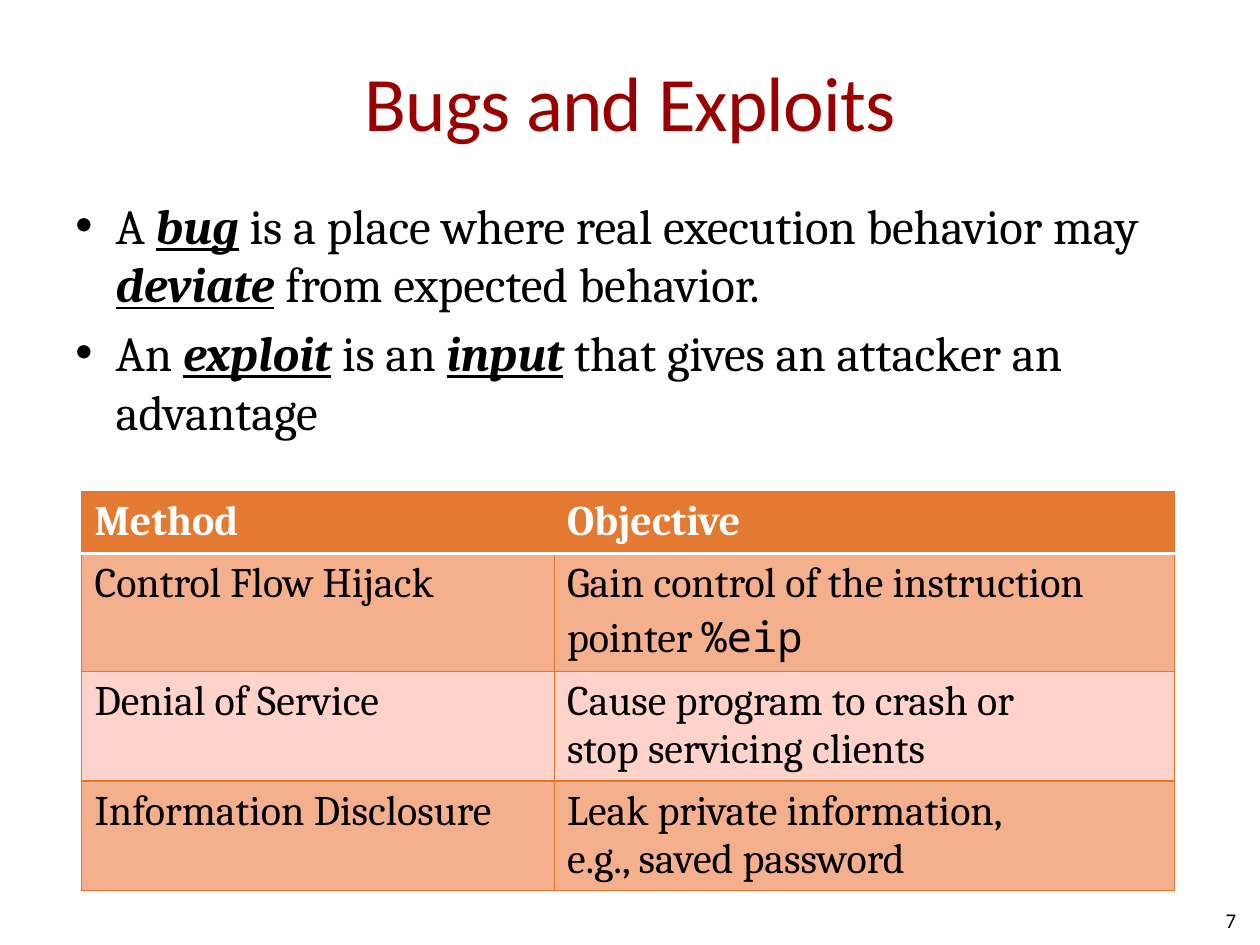
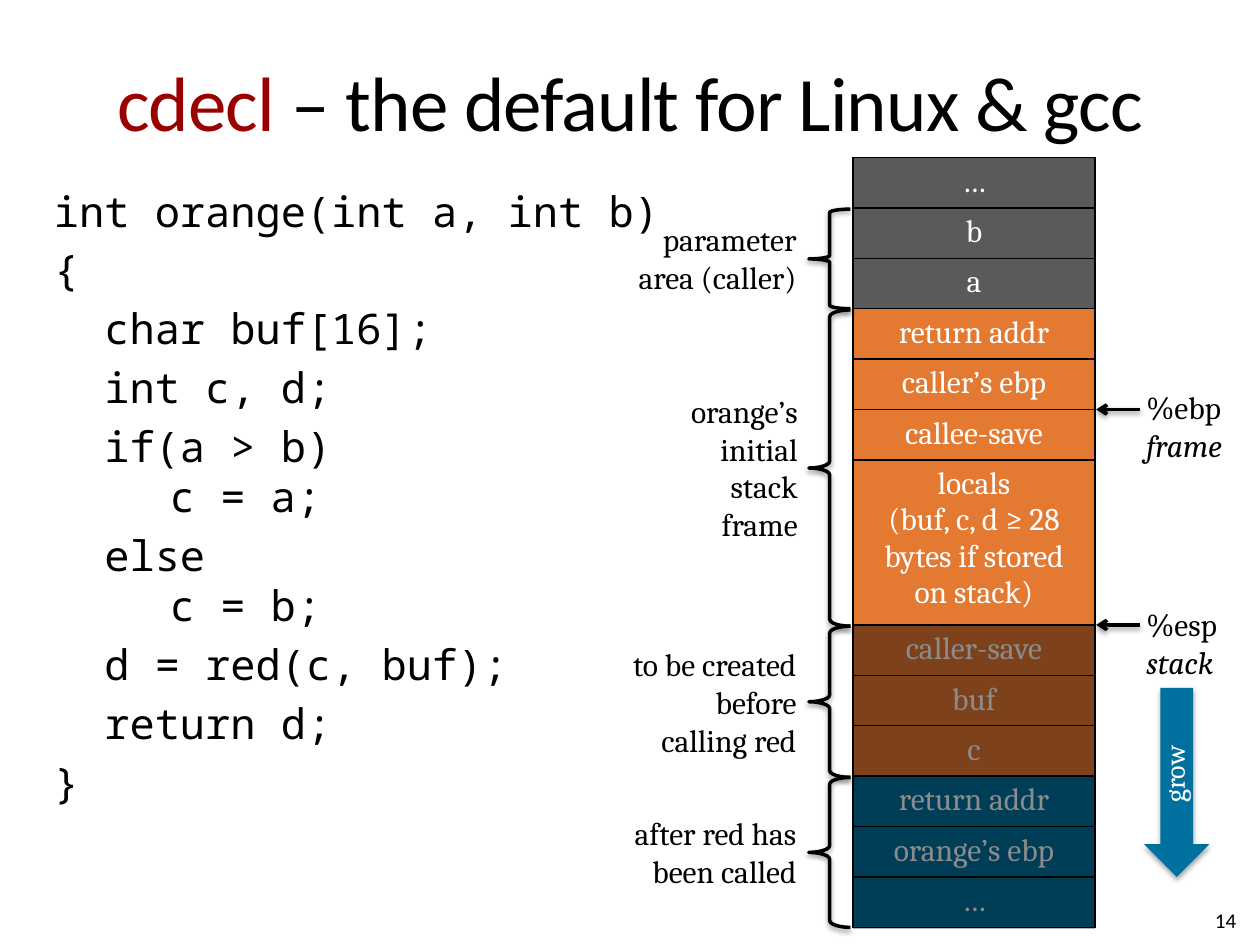
from dataclasses import dataclass
from typing import NamedTuple

from lxml import etree
from pptx import Presentation
from pptx.dml.color import RGBColor
from pptx.enum import shapes, text
from pptx.oxml import ns
from pptx.util import Inches, Pt

BLACK, WHITE, RED = "000000", "FFFFFF", "990000"
ORANGE, PALE_ORANGE, PINK = "E47932", "F4AF8D", "FFD3C9"
BORDER, GREY, BLUE = "E3752D", "595A5A", "00709E"
HEADING, BODY, CODE = "Calibri", "Cambria", "Noto Sans Mono"
LEFT, CENTER, RIGHT = text.PP_ALIGN.LEFT, text.PP_ALIGN.CENTER, text.PP_ALIGN.RIGHT


class Span(NamedTuple):
    words: str
    strong: bool = False
    italic: bool = False
    color: str = ""
    font: str = ""


class Area(NamedTuple):
    left: float
    top: float
    width: float
    height: float

    def inches(self) -> list:
        return [Inches(side) for side in self]


@dataclass
class Style:
    size: float
    font: str = BODY
    color: str = BLACK
    align: text.PP_ALIGN = LEFT
    bold: bool = False
    hanging: float = 0
    bullet: str = ""
    space_before: float = 0
    tracking: float = 0


@dataclass
class Brace:
    top: float
    height: float
    label: str
    label_area: Area
    curl: float = 0.167


@dataclass
class Pointer:
    y: float
    register: str
    meaning: str
    label_area: Area


class StackRow(NamedTuple):
    label: str
    fill: str
    height: float = 0.4


TITLE = Style(44, HEADING, align=CENTER, tracking=-0.5)
NUMBER = Style(12, HEADING, align=RIGHT)
BULLETS = Style(28, hanging=0.32, bullet="•", space_before=5.6)
LISTING = Style(24, CODE, hanging=0.32, space_before=4.8)
HEADER_CELL = Style(24, color=WHITE, bold=True)
BODY_CELL = Style(24)
STACK_CELL = Style(18, color=WHITE, align=CENTER)
LABEL = Style(18)
BRACE_LABEL = Style(18, align=RIGHT)
ARROW_LABEL = Style(16, color=WHITE, align=CENTER)

DEFINITIONS = [
    [Span("A "), Span("bug", True), Span(" is a place where real execution behavior may "),
     Span("deviate", True), Span(" from expected behavior.")],
    [Span("An "), Span("exploit", True), Span(" is an "), Span("input", True),
     Span(" that gives an attacker an advantage")],
]
EXPLOIT_ROWS = [
    (0.49, "Method", [Span("Objective")]),
    (0.93, "Control Flow Hijack",
     [Span("Gain control of the instruction pointer "), Span("%eip", font=CODE)]),
    (0.87, "Denial of Service", [Span("Cause program to crash or\nstop servicing clients")]),
    (0.87, "Information Disclosure", [Span("Leak private information,\ne.g., saved password")]),
]
EXPLOIT_FILLS = [ORANGE, PALE_ORANGE, PINK, PALE_ORANGE]
SOURCE_CODE = [
    "int orange(int a, int b)", "{", "  char buf[16];", "  int c, d;",
    "  if(a > b)\n   c = a;", "  else\n   c = b;",
    "  d = red(c, buf);", "  return d;", "}",
]
STACK_ROWS = [
    *(StackRow(label, GREY) for label in ("…", "b", "a")),
    *(StackRow(label, ORANGE) for label in ("return addr", "caller’s ebp", "callee-save")),
    StackRow("locals\n(buf, c, d ≥ 28 bytes if stored on stack)", ORANGE, 1.31),
    *(StackRow(label, ORANGE) for label in ("caller-save", "buf", "c")),
    *(StackRow(label, BLUE) for label in ("return addr", "orange’s ebp", "…")),
]
BRACES = [
    Brace(1.66, 0.79, "parameter\narea (caller)", Area(4.9, 1.7, 1.52, 0.71), 0.083),
    Brace(2.46, 2.51, "orange’s\ninitial\nstack\nframe", Area(5.31, 3.06, 1.12, 1.29)),
    Brace(4.97, 1.2, "to be created\nbefore\ncalling red", Area(4.76, 5.07, 1.66, 1)),
    Brace(6.17, 1.19, "after red has\nbeen called", Area(4.86, 6.41, 1.56, 0.71)),
]
POINTERS = [
    Pointer(3.25, "%ebp", "frame", Area(9, 3.03, 0.91, 0.71)),
    Pointer(4.96, "%esp", "stack", Area(9, 4.75, 0.82, 0.71)),
]


def rgb(color: str) -> RGBColor:
    return RGBColor.from_string(color)


def add_element(parent, tag: str, **attributes):
    element = etree.SubElement(parent, ns.qn(tag))
    for name, value in attributes.items():
        element.set(name, str(value))
    return element


def add_color(parent, color: str, alpha: int = 100) -> None:
    shade = add_element(add_element(parent, "a:solidFill") if parent.tag != ns.qn("a:outerShdw")
                        else parent, "a:srgbClr", val=color)
    if alpha < 100:
        add_element(shade, "a:alpha", val=alpha * 1000)


def add_shadow(shape, alpha: int = 38, distance: float = 1.6) -> None:
    effects = add_element(shape._element.spPr, "a:effectLst")
    shadow = add_element(effects, "a:outerShdw", blurRad=Pt(3.1), dist=Pt(distance),
                         dir=90 * 60000, rotWithShape=0)
    add_color(shadow, BLACK, alpha)


def write(frame, lines: list[list[Span]], style: Style) -> None:
    for index, spans in enumerate(lines):
        para = frame.add_paragraph() if index else frame.paragraphs[0]
        para.alignment = style.align
        if index and style.space_before:
            para.space_before = Pt(style.space_before)
        properties = para._p.get_or_add_pPr()
        if style.hanging:
            properties.set("marL", str(Inches(style.hanging)))
            properties.set("indent", str(-Inches(style.hanging)))
        if style.bullet:
            add_element(properties, "a:buFont", typeface="Arial")
            add_element(properties, "a:buChar", char=style.bullet)
        para.font.size, para.font.bold = Pt(style.size), style.bold
        para.font.name = style.font
        para.font.color.rgb = rgb(style.color)
        for span in spans:
            write_span(para, span, style)


def write_span(para, span: Span, style: Style) -> None:
    for index, piece in enumerate(span.words.split("\n")):
        if index:
            para.add_line_break()
        run = para.add_run()
        run.text = piece
        if span.strong:
            run.font.bold = run.font.underline = True
        if span.strong or span.italic:
            run.font.italic = True
        if span.color:
            run.font.color.rgb = rgb(span.color)
        if span.font:
            run.font.name = span.font
        if style.tracking:
            run._r.get_or_add_rPr().set("spc", str(int(style.tracking * 100)))


def add_text(page, area: Area, lines: list[list[Span]], style: Style, wrap: bool = True):
    box = page.shapes.add_textbox(*area.inches())
    frame = box.text_frame
    frame.word_wrap = wrap
    frame.auto_size = text.MSO_AUTO_SIZE.NONE if wrap else text.MSO_AUTO_SIZE.SHAPE_TO_FIT_TEXT
    write(frame, lines, style)
    return box


def add_page(deck, title: list[Span], number: int):
    page = deck.slides.add_slide(deck.slide_layouts[6])
    heading = add_text(page, Area(0.5, 0.17, 9, 1.25), [title], TITLE).text_frame
    heading.margin_left = heading.margin_right = 0
    footer = add_text(page, Area(7.58, 7.1, 2.33, 0.4), [[Span(str(number))]], NUMBER).text_frame
    heading.vertical_anchor = footer.vertical_anchor = text.MSO_ANCHOR.MIDDLE
    return page


def add_grid(page, area: Area, widths: list[float], heights: list[float]):
    table = page.shapes.add_table(len(heights), len(widths), *area.inches()).table
    table.first_row = table.horz_banding = False
    for column, width in zip(table.columns, widths):
        column.width = Inches(width)
    for row, height in zip(table.rows, heights):
        row.height = Inches(height)
    return table


def fill_cell(cell, lines: list[list[Span]], style: Style, fill: str,
              borders: dict[str, tuple[str, float]]) -> None:
    write(cell.text_frame, lines, style)
    cell.fill.solid()
    cell.fill.fore_color.rgb = rgb(fill)
    properties = cell._tc.get_or_add_tcPr()
    for index, side in enumerate("LRTB"):
        color, width = borders[side]
        line = add_element(properties, f"a:ln{side}", w=Pt(width))
        add_color(line, color)
        properties.insert(index, line)


def add_preset(page, kind, area: Area, fill: str = "", line: str = ""):
    shape = page.shapes.add_shape(kind, *area.inches())
    shape.shadow.inherit = False
    if fill:
        shape.fill.solid()
        shape.fill.fore_color.rgb = rgb(fill)
    else:
        shape.fill.background()
    if line:
        shape.line.color.rgb = rgb(line)
        shape.line.width = Pt(2)
    else:
        shape.line.fill.background()
    return shape


def clear_effects(shape) -> None:
    for effects in shape._element.spPr.findall(ns.qn("a:effectLst")):
        shape._element.spPr.remove(effects)


def add_brace(page, brace: Brace) -> None:
    area = Area(6.42, brace.top, 0.33, brace.height)
    shape = add_preset(page, shapes.MSO_SHAPE.LEFT_BRACE, area, line=BLACK)
    shape.adjustments[0] = brace.curl
    clear_effects(shape)
    add_shadow(shape)
    lines = [[Span(brace.label)]]
    add_text(page, brace.label_area, lines, BRACE_LABEL, wrap=False)


def add_pointer(page, pointer: Pointer) -> None:
    lines = [[Span(pointer.register)], [Span(pointer.meaning, italic=True)]]
    add_text(page, pointer.label_area, lines, LABEL, wrap=False)
    y = Inches(pointer.y)
    arrow = page.shapes.add_connector(shapes.MSO_CONNECTOR.STRAIGHT, Inches(9.05), y,
                                      Inches(8.7), y)
    arrow.line.color.rgb = rgb(BLACK)
    arrow.line.width = Pt(2)
    add_element(arrow.line._get_or_add_ln(), "a:tailEnd", type="arrow")
    add_shadow(arrow)


def build_exploits(deck) -> None:
    page = add_page(deck, [Span("Bugs and Exploits", color=RED)], 7)
    add_text(page, Area(0.5, 1.5, 9, 5.2), DEFINITIONS, BULLETS)
    heights = [height for height, *_ in EXPLOIT_ROWS]
    table = add_grid(page, Area(0.65, 3.9, 8.67, 3.16), [3.75, 4.92], heights)
    for row, (_, method, objective) in enumerate(EXPLOIT_ROWS):
        borders = dict.fromkeys("LRTB", (BORDER, 0.75))
        if row < 2:
            borders["T" if row else "B"] = (WHITE, 2)
        for column, spans in enumerate(([Span(method)], objective)):
            fill_cell(table.cell(row, column), [spans], BODY_CELL if row else HEADER_CELL,
                      EXPLOIT_FILLS[row], borders)


def build_stack(deck) -> None:
    title = [Span("cdecl ", color=RED), Span("– the default for Linux & gcc")]
    page = add_page(deck, title, 14)
    add_text(page, Area(0.33, 1.42, 9, 5.2), [[Span(line)] for line in SOURCE_CODE], LISTING)
    heights = [row.height for row in STACK_ROWS]
    table = add_grid(page, Area(6.77, 1.25, 1.92, sum(heights)), [1.92], heights)
    for index, row in enumerate(STACK_ROWS):
        lines = [[Span(line)] for line in row.label.split("\n")]
        fill_cell(table.cell(index, 0), lines, STACK_CELL, row.fill,
                  dict.fromkeys("LRTB", (BLACK, 1)))
    for pointer in POINTERS:
        add_pointer(page, pointer)
    for brace in BRACES:
        add_brace(page, brace)
    shade = add_preset(page, shapes.MSO_SHAPE.RECTANGLE, Area(6.77, 4.96, 1.92, 2.41), BLACK)
    tint = shade._element.spPr.find(ns.qn("a:solidFill"))[0]
    add_element(tint, "a:alpha", val=45000)
    grow = add_preset(page, shapes.MSO_SHAPE.DOWN_ARROW, Area(9.08, 5.46, 0.52, 1.5), BLUE)
    clear_effects(grow)
    add_shadow(grow, 35, 1.8)
    frame = grow.text_frame
    frame.margin_left, frame.margin_right = 0, Inches(0.1)
    frame.vertical_anchor = text.MSO_ANCHOR.MIDDLE
    frame._txBody.bodyPr.set("vert", "vert270")
    write(frame, [[Span("grow")]], ARROW_LABEL)


def main() -> None:
    deck = Presentation()
    deck.slide_width, deck.slide_height = Inches(10), Inches(7.5)
    build_exploits(deck)
    build_stack(deck)
    deck.save("out.pptx")


if __name__ == "__main__":
    main()
